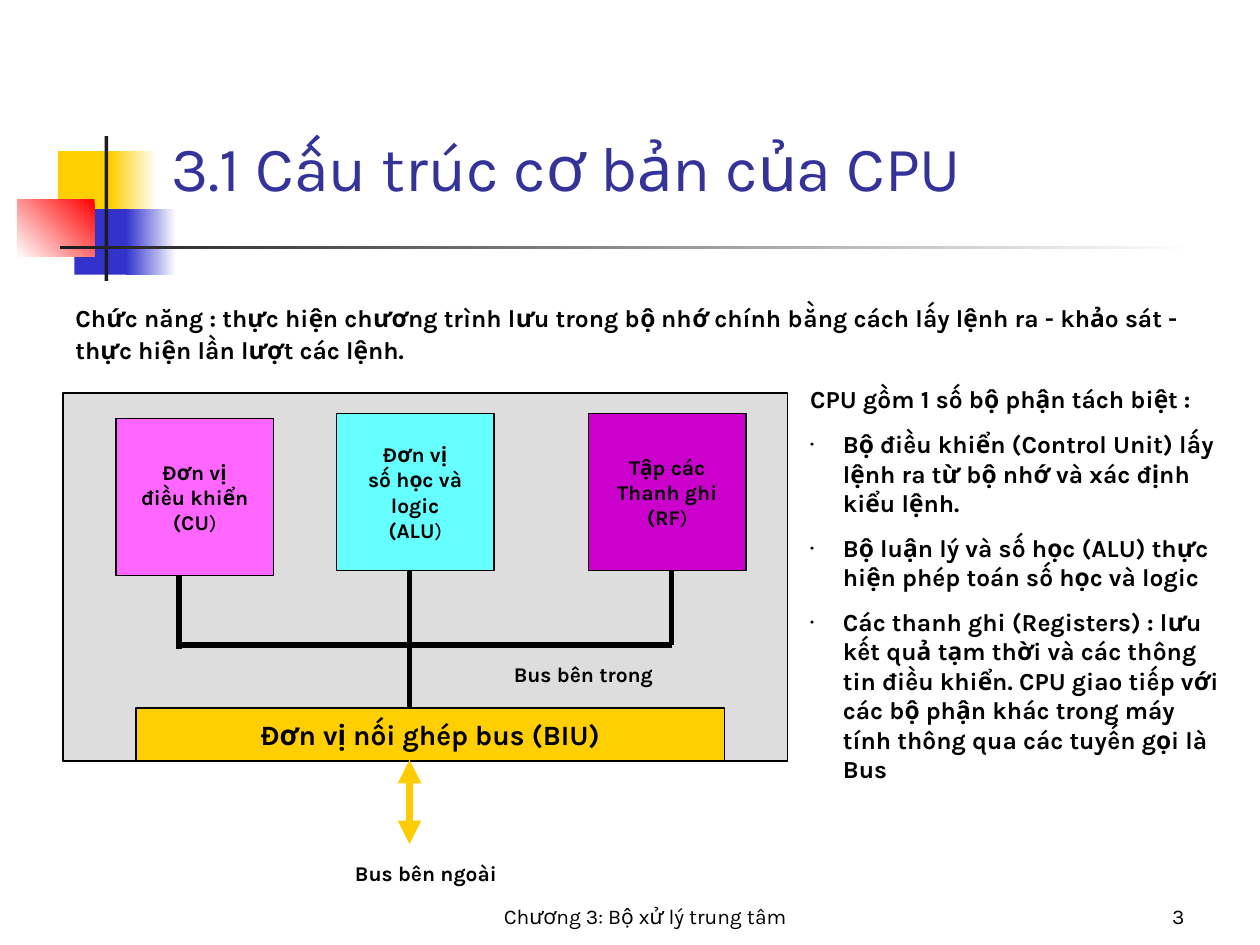
from lxml.etree import SubElement
from pptx import Presentation
from pptx.dml.color import RGBColor
from pptx.enum.shapes import MSO_CONNECTOR as Connector, MSO_SHAPE as Shape
from pptx.enum.text import MSO_ANCHOR as Anchor, MSO_AUTO_SIZE as AutoSize, PP_ALIGN as Align
from pptx.oxml.ns import qn
from pptx.util import Inches, Pt


class Theme:
    font = "Karla"
    title_size, unit_size, text_size, label_size = 36, 16, 14, 12
    black, white, title = "000000", "FFFFFF", "333399"
    gold, blue, red, dark = "FFCF01", "3333CC", "FF0000", "1C1C1C"
    panel, pink, cyan, purple, arrow = "DDDDDD", "FF66FF", "66FFFF", "CC00CC", "FFCC00"


def rgb(value):
    return RGBColor.from_string(value)


def set_values(target, values):
    for name, value in values.items():
        setattr(target, name, value)


class SlideBuilder:
    def __init__(self, slide, theme):
        self.slide, self.theme = slide, theme

    def span(self, para, text, size, color=None, bold=True):
        span = para.add_run()
        span.text = text
        set_values(span.font, {"name": self.theme.font, "size": Pt(size), "bold": bold})
        span.font.color.rgb = rgb(color or self.theme.black)

    def frame(self, box, anchor=Anchor.TOP, wrap=True):
        set_values(box.text_frame, {
            "auto_size": AutoSize.NONE, "word_wrap": wrap, "vertical_anchor": anchor,
            "margin_left": Inches(0.1), "margin_right": Inches(0.1),
            "margin_top": Inches(0.05), "margin_bottom": Inches(0.05),
        })
        return box.text_frame

    def place(self, box, bounds):
        names = ("left", "top", "width", "height")
        set_values(box, dict(zip(names, map(Inches, bounds))))

    def title(self, text, bounds):
        box = self.slide.shapes.title
        self.place(box, bounds)
        para = self.frame(box, Anchor.BOTTOM).paragraphs[0]
        para.alignment = Align.LEFT
        self.span(para, text, self.theme.title_size, self.theme.title, False)

    def bullet_list(self, heading, items, bounds):
        box = self.slide.placeholders[1]
        self.place(box, bounds)
        frame = self.frame(box)
        for index, text in enumerate([heading, *items]):
            para = frame.add_paragraph() if index else frame.paragraphs[0]
            para.space_before = Pt(8.8 if index else 0)
            self.bullet(para, bool(index))
            self.span(para, text, self.theme.text_size)

    def bullet(self, para, visible):
        """Set a hanging indent, with a small bullet or none."""
        properties = para._p.get_or_add_pPr()
        properties.set("marL", str(Inches(0.26)))
        properties.set("indent", str(-Inches(0.26)))
        if not visible:
            SubElement(properties, qn("a:buNone"))
            return
        color = SubElement(properties, qn("a:buClr"))
        SubElement(color, qn("a:srgbClr"), val=self.theme.black)
        SubElement(properties, qn("a:buSzPct"), val="60000")
        SubElement(properties, qn("a:buFont"), typeface=self.theme.font)
        SubElement(properties, qn("a:buChar"), char="•")

    def rectangle(self, bounds, fill, outlined=False):
        box = self.slide.shapes.add_shape(Shape.RECTANGLE, *map(Inches, bounds))
        box.shadow.inherit = False
        box.fill.solid()
        box.fill.fore_color.rgb = rgb(fill)
        if outlined:
            box.line.color.rgb = rgb(self.theme.black)
            box.line.width = Pt(0.75)
        else:
            box.line.fill.background()
        return box

    def gradient(self, bounds, start, end, angle=180):
        """Draw a faded rectangle; the angle runs counter-clockwise."""
        box = self.rectangle(bounds, start)
        box.fill.gradient()
        box.fill.gradient_angle = angle
        for stop, color in zip(box.fill.gradient_stops, (start, end)):
            stop.color.rgb = rgb(color)

    def unit(self, bounds, fill, lines, size, suffix=""):
        """Draw a CPU unit, its last line ending in a suffix that is not bold."""
        frame = self.frame(self.rectangle(bounds, fill, True), Anchor.MIDDLE, False)
        for index, text in enumerate(lines):
            para = frame.add_paragraph() if index else frame.paragraphs[0]
            para.alignment = Align.CENTER
            self.span(para, text, size)
        if suffix:
            self.span(para, suffix, size, bold=False)

    def text(self, text, bounds, size, bold=True, align=Align.LEFT, anchor=Anchor.TOP, spacing=1.0):
        box = self.slide.shapes.add_textbox(*map(Inches, bounds))
        para = self.frame(box, anchor).paragraphs[0]
        set_values(para, {"alignment": align, "line_spacing": spacing})
        self.span(para, text, size, bold=bold)

    def line(self, start, end, color, width, arrows=False):
        line = self.slide.shapes.add_connector(
            Connector.STRAIGHT, *map(Inches, (*start, *end)))
        line.line.color.rgb = rgb(color)
        line.line.width = Pt(width)
        SubElement(line._element.spPr, qn("a:effectLst"))
        if arrows:
            outline = line.line._get_or_add_ln()
            for tag in ("a:headEnd", "a:tailEnd"):
                SubElement(outline, qn(tag), type="triangle")


def main():
    deck = Presentation()
    set_values(deck, {"slide_width": Inches(10), "slide_height": Inches(7.5)})
    theme = Theme()
    page = SlideBuilder(deck.slides.add_slide(deck.slide_layouts[1]), theme)

    page.rectangle((0.46, 1.2, 0.48, 0.52), theme.gold)
    page.gradient((0.88, 1.2, 0.36, 0.52), theme.white, theme.gold)
    page.rectangle((0.59, 1.66, 0.46, 0.52), theme.blue)
    page.gradient((1, 1.66, 0.4, 0.52), theme.white, theme.blue)
    page.gradient((0.14, 1.58, 0.61, 0.46), theme.red, theme.white, 225)
    page.rectangle((0.83, 1.08, 0.03, 1.15), theme.dark)
    page.gradient((0.48, 1.95, 9, 0.03), theme.white, theme.dark)

    page.title("3.1 Cấu trúc cơ bản của CPU", (1.26, 1, 8.52, 0.67))
    page.bullet_list("CPU gồm 1 số bộ phận tách biệt :", [
        "Bộ điều khiển (Control Unit) lấy lệnh ra từ bộ nhớ và xác định kiểu lệnh.",
        "Bộ luận lý và số học (ALU) thực hiện phép toán số học và logic",
        "Các thanh ghi (Registers) : lưu kết quả tạm thời và các thông tin điều khiển. "
        "CPU giao tiếp với các bộ phận khác trong máy tính thông qua các tuyến gọi là Bus",
    ], (6.33, 3, 3.46, 3.71))

    page.rectangle((0.5, 3.12, 5.75, 2.92), theme.panel, True)
    side, bus_y = 1.25, 5.12
    units = [
        (0.92, 3.32, theme.pink, ["Đơn vị", "điều khiển", "(CU"], 1.42, 5.15),
        (2.67, 3.28, theme.cyan, ["Đơn vị", "số học và", "logic", "(ALU"], 3.25, 5.62),
        (4.67, 3.28, theme.purple, ["Tập các", "Thanh ghi", "(RF"], 5.33, bus_y),
    ]
    for left, top, fill, lines, bus_x, bus_end in units:
        page.unit((left, top, side, side), fill, lines, theme.label_size, ")")
        page.line((bus_x, top + side), (bus_x, bus_end), theme.black, 3)
    page.line((1.42, bus_y), (5.33, bus_y), theme.black, 3)
    page.unit((1.08, 5.62, 4.67, 0.42), theme.gold,
              ["Đơn vị nối ghép bus (BIU)"], theme.unit_size)
    page.line((3.25, 6.03), (3.25, 6.7), theme.arrow, 4.5, True)

    for label, left, top in (("Bus bên trong", 3.42, 5.2), ("Bus bên ngoài", 2.17, 6.78)):
        page.text(label, (left, top, 2.42, 0.3), theme.label_size, align=Align.CENTER)
    page.text("Chức năng : thực hiện chương trình lưu trong bộ nhớ chính bằng cách "
              "lấy lệnh ra - khảo sát - thực hiện lần lượt các lệnh.",
              (0.5, 2.33, 9.25, 0.62), theme.text_size, spacing=1.1)
    for text, left, width, align in (
        ("Chương 3: Bộ xử lý trung tâm", 2.08, 6.08, Align.CENTER),
        ("3", 8.33, 1.17, Align.RIGHT),
    ):
        page.text(text, (left, 6.92, width, 0.5), theme.label_size, False, align, Anchor.BOTTOM)

    deck.save("out.pptx")


if __name__ == "__main__":
    main()
